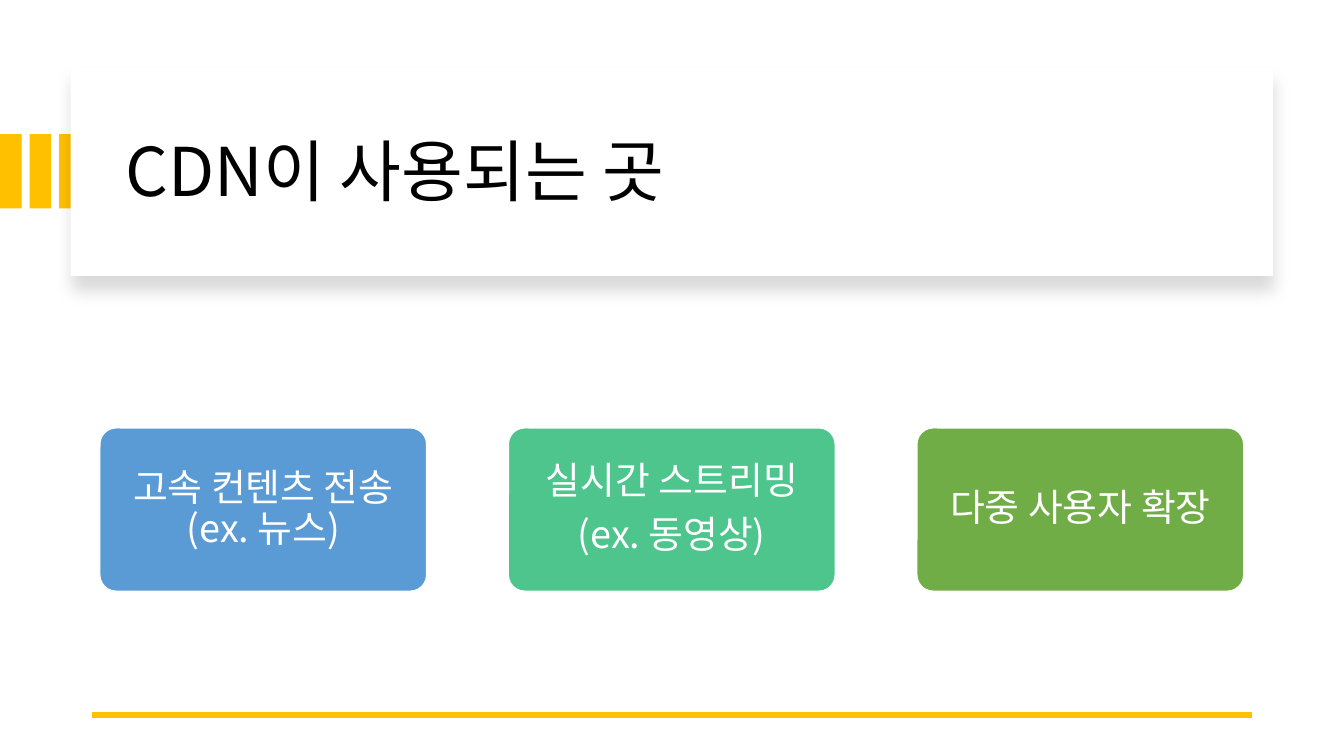
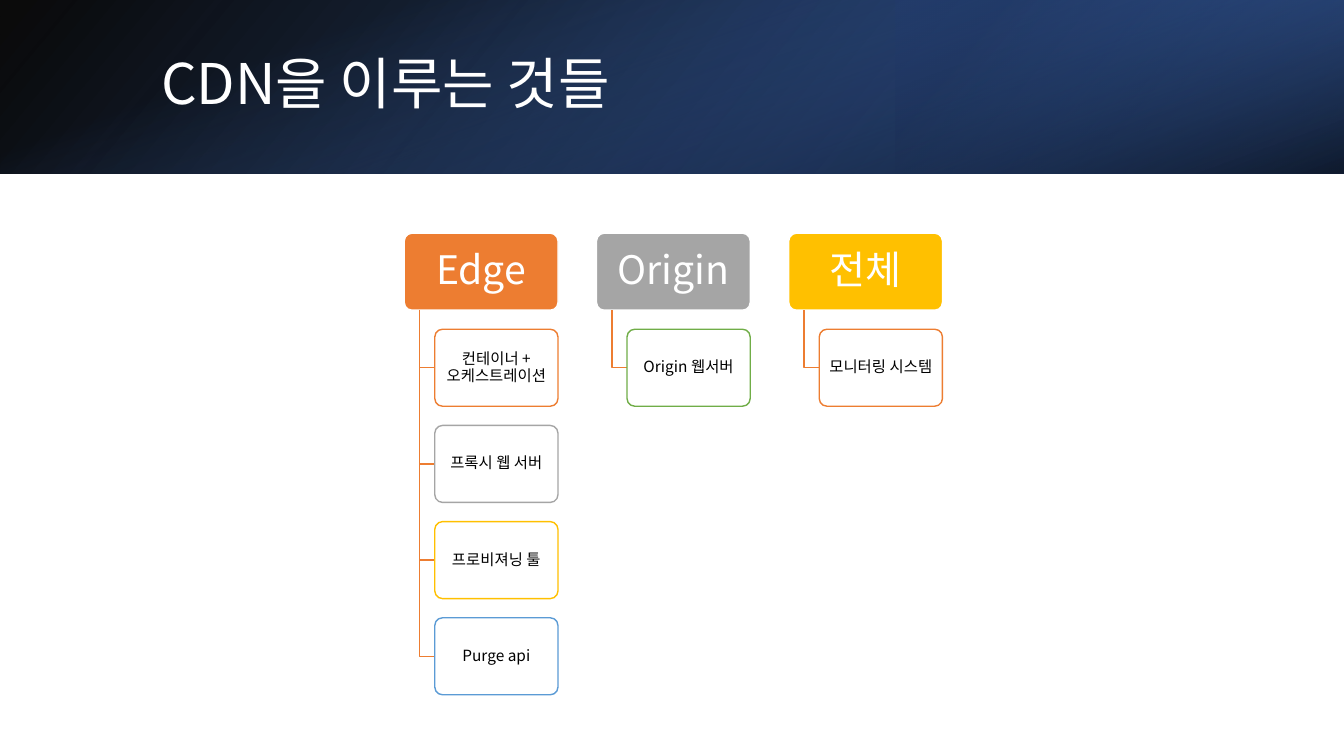
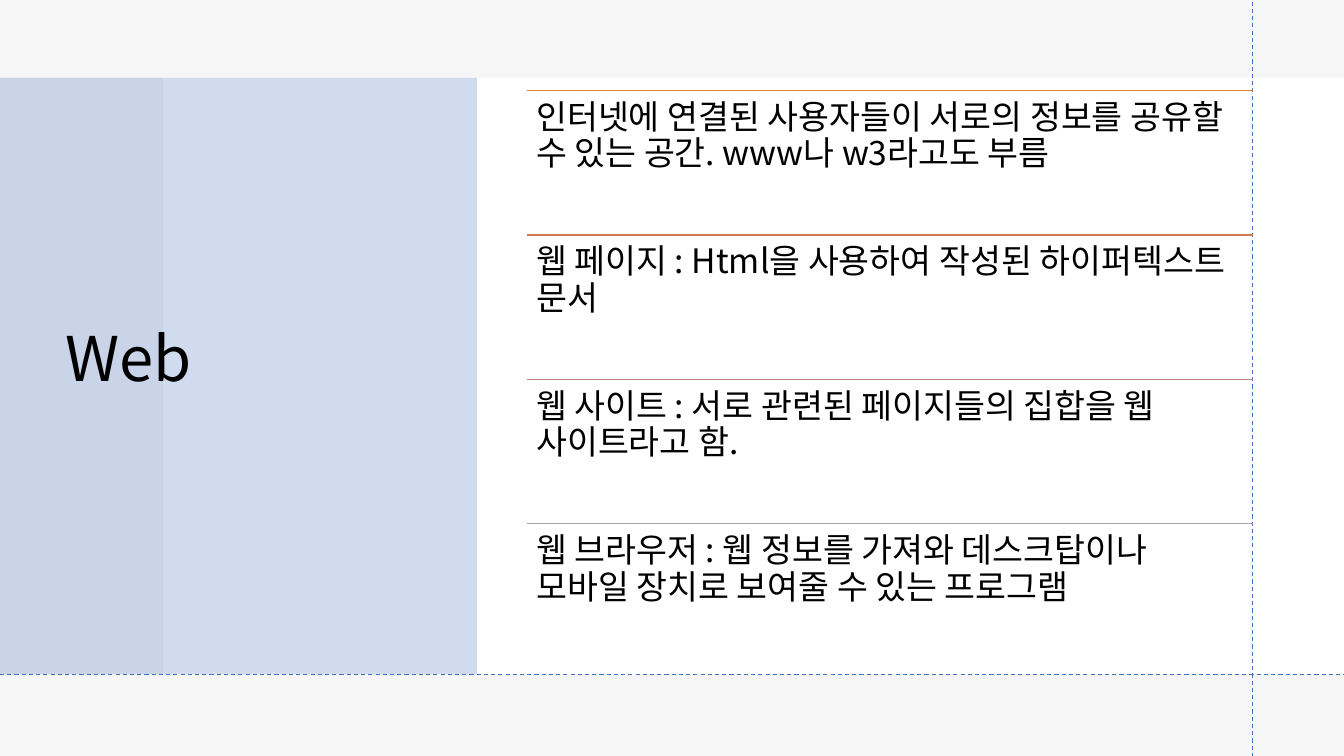
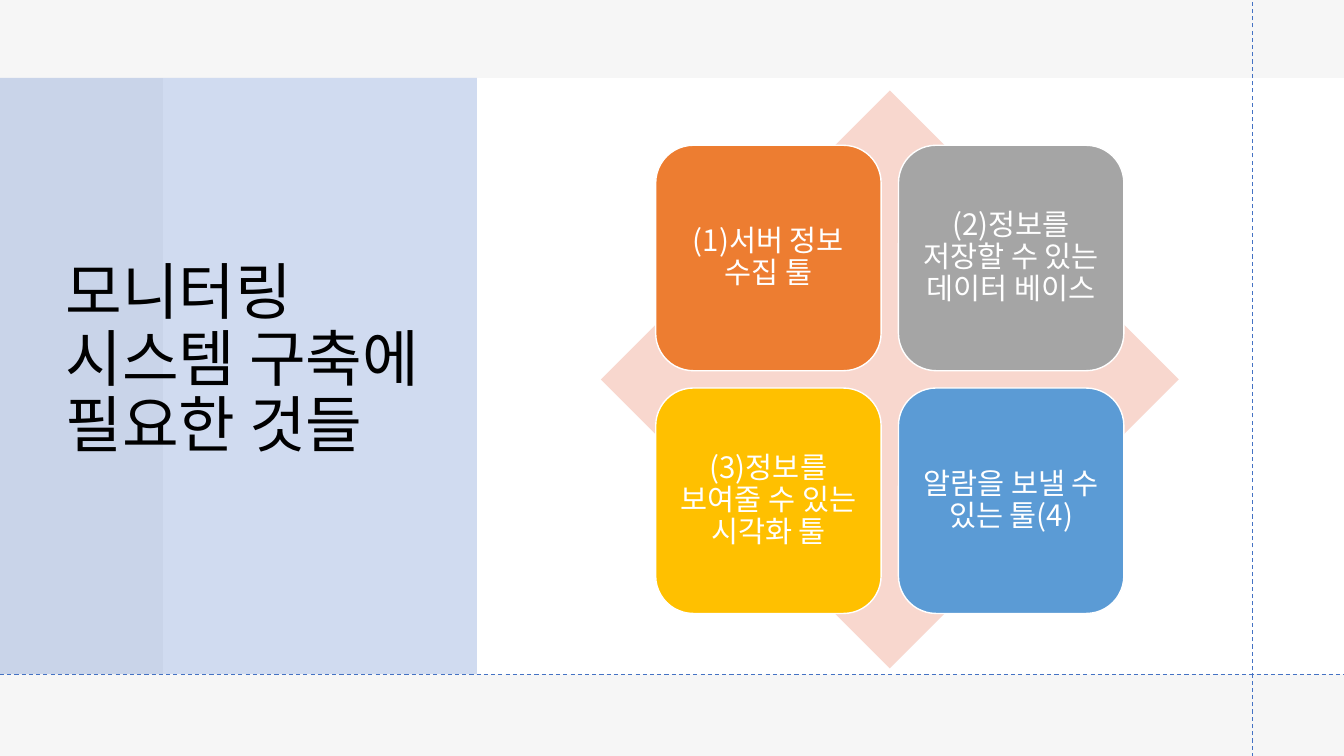
from lxml.etree import SubElement
from pptx import Presentation
from pptx.dml.color import RGBColor
from pptx.enum.dml import MSO_LINE
from pptx.enum.shapes import MSO_CONNECTOR, MSO_SHAPE
from pptx.enum.text import MSO_ANCHOR, MSO_AUTO_SIZE, PP_ALIGN
from pptx.oxml import parse_xml
from pptx.oxml.ns import nsdecls, qn
from pptx.util import Pt

FONT = "Noto Sans CJK KR"
COLORS = {
    "white": "FFFFFF",
    "black": "000000",
    "page": "F6F6F6",
    "gold": "FFC000",
    "orange": "ED7D31",
    "copper": "D17B5C",
    "clay": "B98A82",
    "gray": "A5A5A5",
    "sky": "5B9BD5",
    "mint": "4DC58D",
    "green": "70AD47",
    "blue": "4472C4",
    "deep": "2F5597",
    "navy": "203864",
    "blush": "F8D7CE",
}


def add_block(slide, kind, box, fill=None, line=None, radius=None):
    shape = slide.shapes.add_shape(kind, *[Pt(value) for value in box])
    shape.shadow.inherit = False
    if radius is not None:
        shape.adjustments[0] = radius
    for target, color in ((shape.fill, fill), (shape.line.fill, line)):
        if color:
            target.solid()
            target.fore_color.rgb = RGBColor.from_string(COLORS[color])
        else:
            target.background()
    if line:
        shape.line.width = Pt(1)
    return shape


def write(shape, lines, size, color, align=PP_ALIGN.CENTER, anchor=MSO_ANCHOR.MIDDLE,
          insets=(7.2, 3.6), gap=0.35):
    frame = shape.text_frame
    across, down = [Pt(value) for value in insets]
    frame_format = {
        "word_wrap": True,
        "auto_size": MSO_AUTO_SIZE.NONE,
        "vertical_anchor": anchor,
        "margin_left": across,
        "margin_right": across,
        "margin_top": down,
        "margin_bottom": down,
    }
    for name, value in frame_format.items():
        setattr(frame, name, value)
    paragraph_format = {
        "alignment": align,
        "line_spacing": 0.9,
        "space_before": Pt(0),
        "space_after": Pt(round(size * gap, 1)),
    }
    for index, line in enumerate(lines):
        paragraph = frame.add_paragraph() if index else frame.paragraphs[0]
        for name, value in paragraph_format.items():
            setattr(paragraph, name, value)
        run = paragraph.add_run()
        run.text = line
        run.font.name = FONT
        run.font.size = Pt(size)
        run.font.color.rgb = RGBColor.from_string(COLORS[color])
        SubElement(run.font._element, qn("a:ea"), typeface=FONT)


presentation = Presentation()
presentation.slide_width = Pt(960)
presentation.slide_height = Pt(540)
title_only = presentation.slide_layouts[5]
uses, parts, web, monitoring = [presentation.slides.add_slide(title_only) for _ in range(4)]

for index in range(3):
    add_block(uses, MSO_SHAPE.RECTANGLE, (index * 21.1, 95.8, 15.4, 53), "gold")
panel = add_block(uses, MSO_SHAPE.RECTANGLE, (50.5, 48.2, 859, 149), "white")
shadow = SubElement(panel.element.spPr.find(qn("a:effectLst")), qn("a:outerShdw"),
                    blurRad=str(Pt(11)), dist=str(Pt(10)), dir="5400000", algn="t", rotWithShape="0")
shadow_color = SubElement(shadow, qn("a:srgbClr"), val=COLORS["black"])
SubElement(shadow_color, qn("a:alpha"), val="15000")

use_cases = [
    ("sky", ["고속 컨텐츠 전송(ex. 뉴스)"]),
    ("mint", ["실시간 스트리밍", "(ex. 동영상)"]),
    ("green", ["다중 사용자 확장"]),
]
for index, (color, lines) in enumerate(use_cases):
    card = add_block(uses, MSO_SHAPE.ROUNDED_RECTANGLE, (71.3 + index * 291.8, 305.6, 233.5, 116.7),
                     color, "white", 0.1)
    write(card, lines, 27, "white", insets=(4.2, 3))

header_layers = [
    ((0, 0, 960, 124), 0, True, 140, [(0, "black", 96), (100, "deep", 100)]),
    ((640, 0, 320, 124), 180, True, 320, [(19, "navy", 68), (100, "blue", 79)]),
    ((418, -418, 124, 960), 90, False, 340, [(23, "blue", 0), (99, "black", 74)]),
]
for box, rotation, flipped, angle, stops in header_layers:
    layer = add_block(parts, MSO_SHAPE.RECTANGLE, box)
    layer.rotation = rotation
    properties = layer.element.spPr
    if flipped:
        properties.get_or_add_xfrm().set("flipH", "1")
    stop_xml = "".join(
        f'<a:gs pos="{position * 1000}"><a:srgbClr val="{COLORS[color]}">'
        f'<a:alpha val="{opacity * 1000}"/></a:srgbClr></a:gs>'
        for position, color, opacity in stops)
    gradient = parse_xml(
        f'<a:gradFill {nsdecls("a")} rotWithShape="1"><a:gsLst>{stop_xml}</a:gsLst>'
        f'<a:lin ang="{angle * 60000}" scaled="0"/></a:gradFill>')
    properties.replace(properties.find(qn("a:noFill")), gradient)

components = [
    ("Edge", "orange", [("컨테이너 + 오케스트레이션", "orange"), ("프록시 웹 서버", "gray"),
                        ("프로비져닝 툴", "gold"), ("Purge api", "sky")]),
    ("Origin", "gray", [("Origin 웹서버", "green")]),
    ("전체", "gold", [("모니터링 시스템", "orange")]),
]
node_height = 55
for column, (heading, heading_color, children) in enumerate(components):
    left = 288.8 + column * 137.3
    header = add_block(parts, MSO_SHAPE.ROUNDED_RECTANGLE, (left, 166.6, 109.8, node_height),
                       heading_color, "white", 0.1)
    write(header, [heading], 28, "white", insets=(5.6, 4.4))
    for row, (label, color) in enumerate(children):
        top = 235.2 + row * 68.7
        middle = top + node_height / 2
        builder = parts.shapes.build_freeform(Pt(left + 11), Pt(221.6))
        builder.add_line_segments([(Pt(left + 11), Pt(middle)), (Pt(left + 21.8), Pt(middle))], close=False)
        branch = builder.convert_to_shape()
        branch.shadow.inherit = False
        branch.fill.background()
        branch.line.color.rgb = RGBColor.from_string(COLORS["orange"])
        branch.line.width = Pt(1)
        child = add_block(parts, MSO_SHAPE.ROUNDED_RECTANGLE, (left + 21.8, top, 88, node_height),
                          "white", color, 0.1)
        write(child, [label], 11, "black", insets=(3.2, 3.2))

rules = [(uses, (66, 510.5, 894.2, 510.5), "gold", 4.5, None)]
for slide in (web, monitoring):
    slide.background.fill.solid()
    slide.background.fill.fore_color.rgb = RGBColor.from_string(COLORS["page"])
    add_block(slide, MSO_SHAPE.RECTANGLE, (116.5, 55.8, 843.5, 426), "white")
    side = add_block(slide, MSO_SHAPE.RECTANGLE, (0, 55.6, 340.6, 426), "blue")
    SubElement(side.element.spPr.find(qn("a:solidFill"))[0], qn("a:alpha"), val="25000")
    rules += [
        (slide, (894.7, 540.7, 894.7, 0.7), "blue", 0.75, MSO_LINE.DASH),
        (slide, (0, 481.7, 960, 481.7), "blue", 0.75, MSO_LINE.DASH),
    ]

definitions = [
    ("orange", "인터넷에 연결된 사용자들이 서로의 정보를 공유할 수 있는 공간. www나 w3라고도 부름"),
    ("copper", "웹 페이지 : Html을 사용하여 작성된 하이퍼텍스트 문서"),
    ("clay", "웹 사이트 : 서로 관련된 페이지들의 집합을 웹 사이트라고 함."),
    ("gray", "웹 브라우저 : 웹 정보를 가져와 데스크탑이나 모바일 장치로 보여줄 수 있는 프로그램"),
]
for row, (color, definition) in enumerate(definitions):
    top = 64.6 + row * 103.15
    rules.append((web, (376.2, top, 894.7, top), color, 1, None))
    text_box = web.shapes.add_textbox(Pt(376), Pt(top), Pt(515), Pt(103))
    write(text_box, [definition], 24, "black", PP_ALIGN.LEFT, MSO_ANCHOR.TOP, (7.2, 7.2))

add_block(monitoring, MSO_SHAPE.DIAMOND, (429.2, 64.6, 412.8, 412.8), "blush")
tools = [
    ("orange", "(1)서버 정보 수집 툴"),
    ("gray", "(2)정보를 저장할 수 있는 데이터 베이스"),
    ("gold", "(3)정보를 보여줄 수 있는 시각화 툴"),
    ("sky", "알람을 보낼 수 있는 툴(4)"),
]
for index, (color, label) in enumerate(tools):
    row, column = divmod(index, 2)
    tile = add_block(monitoring, MSO_SHAPE.ROUNDED_RECTANGLE,
                     (468.4 + column * 173.4, 103.8 + row * 173.4, 161, 161), color, "white")
    write(tile, [label], 21, "white", insets=(6.6, 6.6))

for slide, ends, color, width, dash in rules:
    rule = slide.shapes.add_connector(MSO_CONNECTOR.STRAIGHT, *[Pt(value) for value in ends])
    rule.line.color.rgb = RGBColor.from_string(COLORS[color])
    rule.line.width = Pt(width)
    if dash:
        rule.line.dash_style = dash
    SubElement(rule.element.spPr, qn("a:effectLst"))

side_title = (39.6, 53.3, 284.4, 409.7)
titles = [
    (uses, "CDN이 사용되는 곳", (82.4, 63.6, 801.4, 122.4), 48, "black"),
    (parts, "CDN을 이루는 것들", (108, 27.4, 790.6, 69), 40, "white"),
    (web, "Web", side_title, 44, "black"),
    (monitoring, "모니터링 시스템 구축에 필요한 것들", side_title, 44, "black"),
]
for slide, text, box, size, color in titles:
    title = slide.shapes.title
    for name, value in zip(("left", "top", "width", "height"), box):
        setattr(title, name, Pt(value))
    write(title, [text], size, color, PP_ALIGN.LEFT, gap=0)
    title.element.getparent().append(title.element)

presentation.save("out.pptx")
